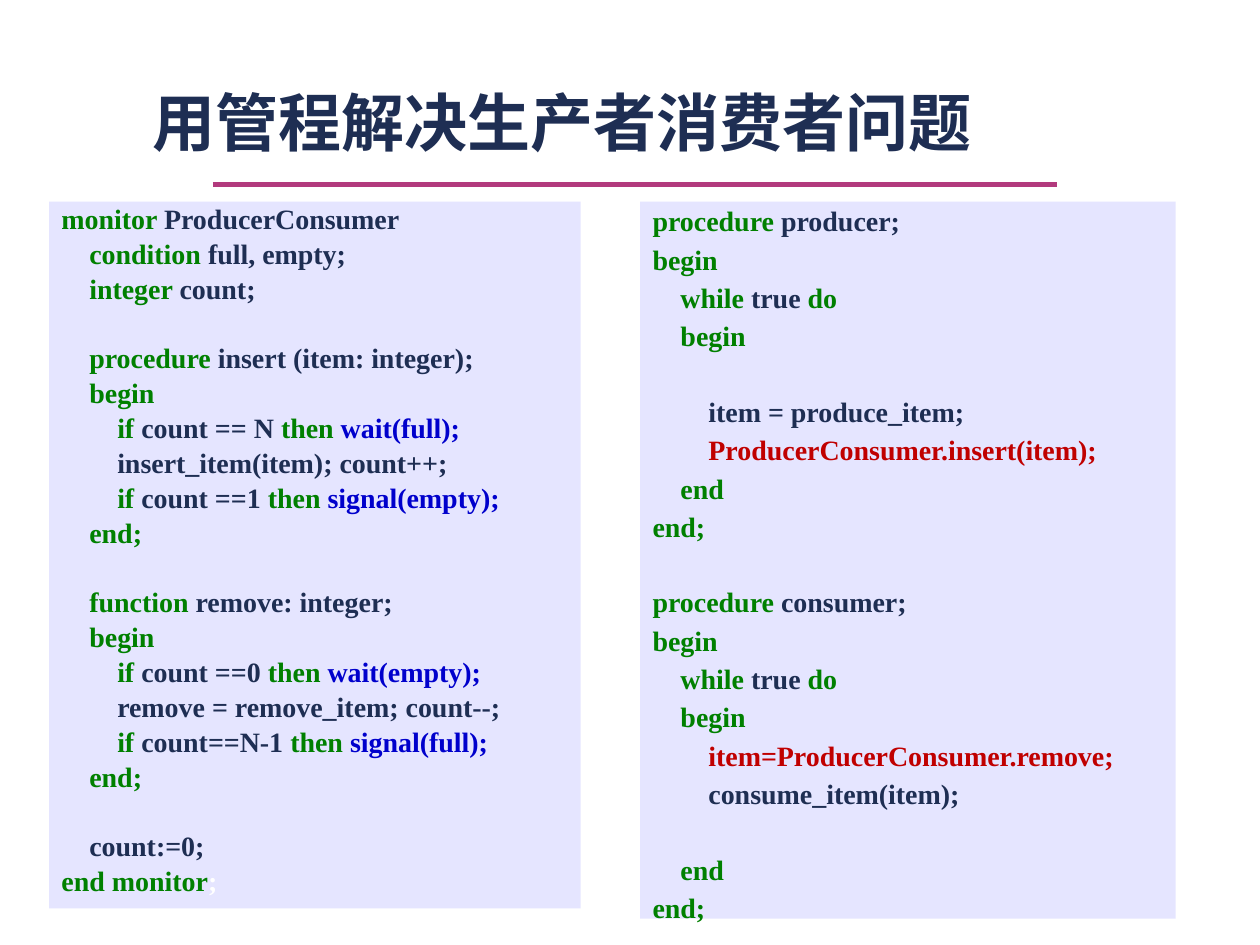
from lxml.etree import SubElement
from pptx import Presentation
from pptx.dml.color import RGBColor
from pptx.enum.shapes import MSO_CONNECTOR, MSO_SHAPE
from pptx.enum.text import MSO_ANCHOR, PP_ALIGN
from pptx.oxml.ns import qn
from pptx.util import Pt

COLOURS = {
    "text": "1E2E53", "keyword": "008000", "signal": "0000CC",
    "call": "C00000", "pale": "FFFFFF", "panel": "E5E5FF", "rule": "B23A7D",
}
INDENT = "    "
BEGIN = (1, ("keyword", "begin"))
END = (1, ("keyword", "end"))
END_SEMICOLON = (1, ("keyword", "end;"))
CLOSE = (0, ("keyword", "end;"))
GAP = None


def keyword_line(level, keyword, rest):
    return level, ("keyword", keyword + " "), ("text", rest)


def if_line(condition, action):
    return (2, ("keyword", "if "), ("text", condition + " "),
            ("keyword", "then "), ("signal", action))


def loop_start(name):
    return [keyword_line(0, "procedure", name), (0, ("keyword", "begin")),
            (1, ("keyword", "while "), ("text", "true "), ("keyword", "do")), BEGIN]


MONITOR = [
    keyword_line(0, "monitor", "ProducerConsumer"),
    keyword_line(1, "condition", "full, empty;"),
    keyword_line(1, "integer", "count;"),
    GAP,
    keyword_line(1, "procedure", "insert (item: integer);"),
    BEGIN,
    if_line("count == N", "wait(full);"),
    (2, ("text", "insert_item(item); count++;")),
    if_line("count ==1", "signal(empty);"),
    END_SEMICOLON,
    GAP,
    keyword_line(1, "function", "remove: integer;"),
    BEGIN,
    if_line("count ==0", "wait(empty);"),
    (2, ("text", "remove = remove_item; count--;")),
    if_line("count==N-1", "signal(full);"),
    END_SEMICOLON,
    GAP,
    (1, ("text", "count:=0;")),
    (0, ("keyword", "end monitor"), ("pale", ";")),
]
PROCESSES = [
    *loop_start("producer;"),
    GAP,
    (2, ("text", "item = produce_item;")),
    (2, ("call", "ProducerConsumer.insert(item);")),
    END,
    CLOSE,
    GAP,
    *loop_start("consumer;"),
    (2, ("call", "item=ProducerConsumer.remove;")),
    (2, ("text", "consume_item(item);")),
    GAP,
    END,
    CLOSE,
]


class SlideWriter:
    """Holds the style and the current slide, and draws each kind of element."""

    title_font, title_size = "Arial", 36
    code_font, code_size = "Times New Roman", 16
    line_height, space_after = 18.4, 4.65

    def __init__(self, page):
        self.page = page

    def colour(self, name):
        return RGBColor.from_string(COLOURS[name])

    def span(self, para, text, font, size, colour):
        span = para.add_run()
        span.text = text
        span.font.name = font
        span.font.size = Pt(size)
        span.font.bold = True
        span.font.color.rgb = self.colour(colour)

    def title(self, text, left, top, width, height):
        box = self.page.shapes.add_textbox(Pt(left), Pt(top), Pt(width), Pt(height))
        frame = box.text_frame
        frame.word_wrap = True
        frame.vertical_anchor = MSO_ANCHOR.BOTTOM
        para = frame.paragraphs[0]
        para.alignment = PP_ALIGN.CENTER
        self.span(para, text, self.title_font, self.title_size, "text")

    def rule(self, left, right, y, weight):
        line = self.page.shapes.add_connector(
            MSO_CONNECTOR.STRAIGHT, Pt(left), Pt(y), Pt(right), Pt(y))
        line.line.color.rgb = self.colour("rule")
        line.line.width = Pt(weight)
        SubElement(line._element.spPr, qn("a:effectLst"))

    def code_panel(self, lines, spacing, left, top, width, height):
        box = self.page.shapes.add_shape(
            MSO_SHAPE.RECTANGLE, Pt(left), Pt(top), Pt(width), Pt(height))
        box.shadow.inherit = False
        box.fill.solid()
        box.fill.fore_color.rgb = self.colour("panel")
        box.line.fill.background()
        frame = box.text_frame
        frame.word_wrap = True
        frame.vertical_anchor = MSO_ANCHOR.TOP
        pitch = round(self.line_height * spacing + self.space_after, 1)
        para, after_gap = frame.paragraphs[0], False
        for number, line in enumerate(lines):
            if line is GAP:
                after_gap = True
                continue
            if number:
                para = frame.add_paragraph()
            para.alignment = PP_ALIGN.LEFT
            para.line_spacing = spacing
            para.space_after = Pt(self.space_after)
            if after_gap:
                para.space_before = Pt(pitch)
                after_gap = False
            level, *spans = line
            lead = INDENT * level
            for colour, text in spans:
                self.span(para, lead + text, self.code_font, self.code_size, colour)
                lead = ""


def main():
    deck = Presentation()
    deck.slide_width, deck.slide_height = Pt(720), Pt(540)
    writer = SlideWriter(deck.slides.add_slide(deck.slide_layouts[6]))
    writer.rule(121.7, 604.1, 105.6, 3)
    writer.title("用管程解决生产者消费者问题", 36, 25.2, 570.2, 69.1)
    writer.code_panel(MONITOR, 0.8, 28, 115.2, 303.8, 404)
    writer.code_panel(PROCESSES, 0.9, 365.8, 115.2, 306, 409.7)
    deck.save("out.pptx")


if __name__ == "__main__":
    main()
